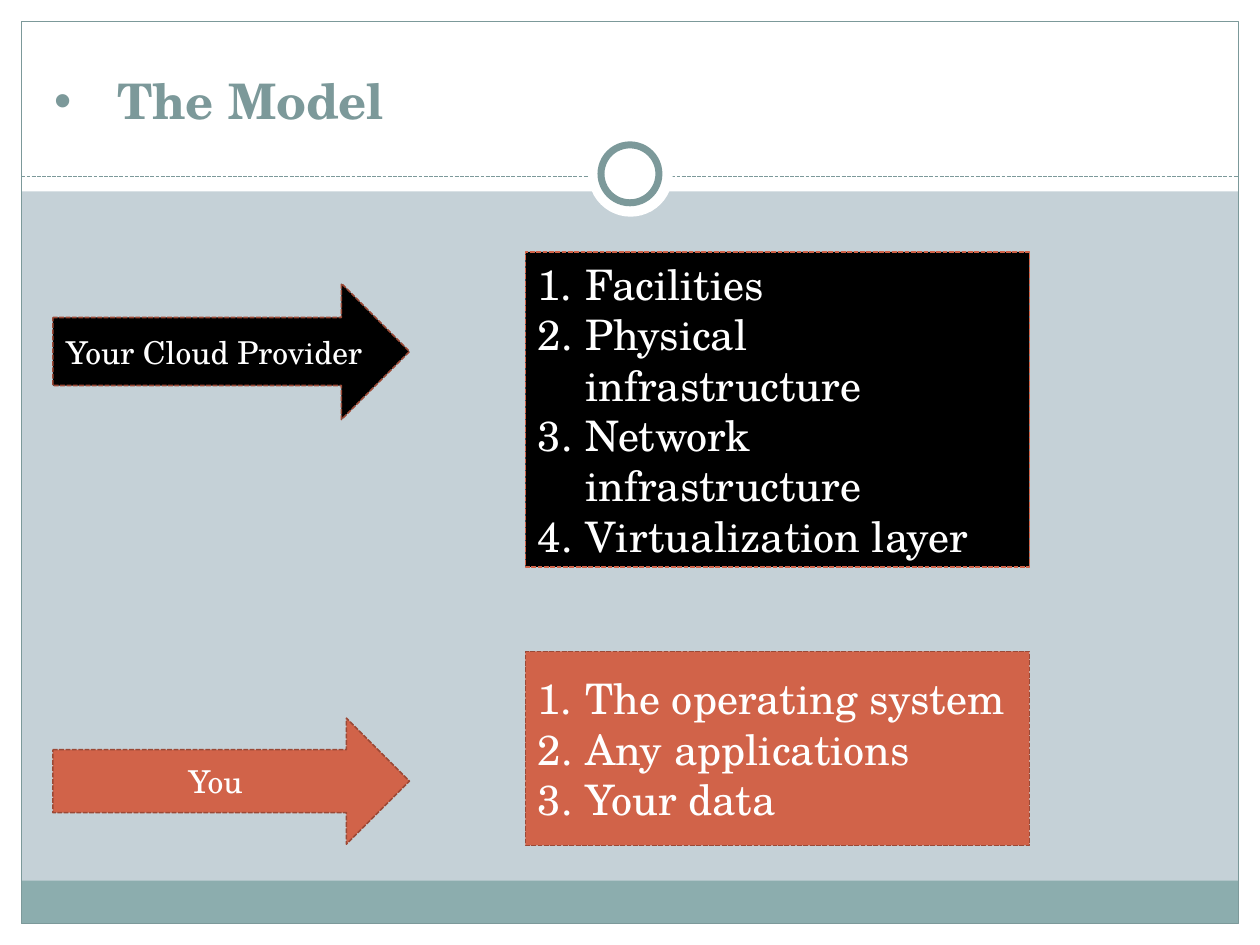
from dataclasses import dataclass
from typing import Optional

from lxml import etree
from pptx import Presentation
from pptx.dml.color import RGBColor
from pptx.enum import dml, shapes, text
from pptx.oxml import ns
from pptx.util import Inches, Pt


@dataclass(frozen=True)
class Theme:
    font: str = "TeX Gyre Schola"
    backdrop: str = "C5D1D7"
    white: str = "FFFFFF"
    black: str = "000000"
    teal: str = "7C999A"
    footer: str = "8CADAE"
    orange: str = "D16349"
    rust: str = "9B4936"
    title_size: float = 28
    list_size: float = 24
    label_size: float = 18
    thin: float = 0.75
    edge: float = 0.9
    ring: float = 4


@dataclass(frozen=True)
class Box:
    left: float
    top: float
    width: float
    height: float

    def lengths(self):
        return [Inches(v) for v in (self.left, self.top, self.width, self.height)]


@dataclass(frozen=True)
class Panel:
    kind: shapes.MSO_SHAPE
    box: Box
    fill: Optional[str]
    line: Optional[str] = None
    weight: float = 0
    dashed: bool = False


@dataclass(frozen=True)
class Role:
    label: str
    arrow: Panel
    duties: tuple
    card: Panel


THEME = Theme()
RECT = shapes.MSO_SHAPE.RECTANGLE
OVAL = shapes.MSO_SHAPE.OVAL
ARROW = shapes.MSO_SHAPE.RIGHT_ARROW
MARGIN = 0.17
WIDTH, HEIGHT = 10, 7.5
INNER = WIDTH - 2 * MARGIN
RULE_TOP = 1.4

BANDS = (
    Panel(RECT, Box(0, HEIGHT - MARGIN, WIDTH, MARGIN), THEME.white),
    Panel(RECT, Box(0, 0, WIDTH, 1.52), THEME.white),
    Panel(RECT, Box(0, 0, MARGIN, HEIGHT), THEME.white),
    Panel(RECT, Box(WIDTH - MARGIN, 0, MARGIN, HEIGHT), THEME.white),
    Panel(RECT, Box(MARGIN, 6.99, INNER, 0.34), THEME.footer),
    Panel(RECT, Box(MARGIN, MARGIN, INNER, HEIGHT - 2 * MARGIN), None, THEME.teal, THEME.thin),
)
RINGS = (
    Panel(OVAL, Box(4.67, 1.05, 0.67, 0.67), THEME.white),
    Panel(OVAL, Box(4.77, 1.15, 0.46, 0.46), THEME.white, THEME.teal, THEME.ring),
)
ROLES = (
    Role(
        "Your Cloud Provider",
        Panel(ARROW, Box(0.42, 2.25, 2.83, 1.08), THEME.black, THEME.rust, THEME.edge, True),
        ("Facilities", "Physical infrastructure", "Network infrastructure", "Virtualization layer"),
        Panel(RECT, Box(4.17, 2, 4, 2.5), THEME.black, THEME.orange, THEME.edge, True),
    ),
    Role(
        "You",
        Panel(ARROW, Box(0.42, 5.7, 2.83, 1), THEME.orange, THEME.rust, THEME.edge, True),
        ("The operating system", "Any applications", "Your data"),
        Panel(RECT, Box(4.17, 5.17, 4, 1.54), THEME.orange, THEME.rust, THEME.edge, True),
    ),
)


def colour(code: str) -> RGBColor:
    return RGBColor.from_string(code)


def style_line(line, code: str, weight: float, dashed: bool) -> None:
    line.color.rgb = colour(code)
    line.width = Pt(weight)
    if dashed:
        line.dash_style = dml.MSO_LINE.SQUARE_DOT


def draw_panel(slide, panel: Panel):
    shape = slide.shapes.add_shape(panel.kind, *panel.box.lengths())
    shape.shadow.inherit = False
    if panel.fill:
        shape.fill.solid()
        shape.fill.fore_color.rgb = colour(panel.fill)
    else:
        shape.fill.background()
    if panel.line:
        style_line(shape.line, panel.line, panel.weight, panel.dashed)
    else:
        shape.line.fill.background()
    return shape


def draw_rule(slide) -> None:
    rule = slide.shapes.add_connector(
        shapes.MSO_CONNECTOR.STRAIGHT,
        Inches(MARGIN), Inches(RULE_TOP), Inches(WIDTH - MARGIN), Inches(RULE_TOP),
    )
    style_line(rule.line, THEME.teal, THEME.thin, True)
    etree.SubElement(rule.element.spPr, ns.qn("a:effectLst"))


def add_bullet(paragraph, indent: float, tag: str, **attributes: str) -> None:
    properties = paragraph._p.get_or_add_pPr()
    properties.set("marL", str(Inches(indent)))
    properties.set("indent", str(-Inches(indent)))
    etree.SubElement(properties, ns.qn("a:buFont"), typeface="Arial" if tag == "a:buChar" else "+mj-lt")
    etree.SubElement(properties, ns.qn(tag), **attributes)


def style_text(paragraph, size: float, code: str, align, bold: bool = False) -> None:
    paragraph.alignment = align
    font = paragraph.font
    font.name = THEME.font
    font.size = Pt(size)
    font.bold = bold
    font.color.rgb = colour(code)


def place_title(slide, wording: str) -> None:
    title = slide.shapes.title
    title.left, title.top, title.width, title.height = Box(0.33, 0.25, 9.33, 0.83).lengths()
    frame = title.text_frame
    frame.text = wording
    frame.auto_size = text.MSO_AUTO_SIZE.NONE
    frame.vertical_anchor = text.MSO_ANCHOR.BOTTOM
    heading = frame.paragraphs[0]
    add_bullet(heading, 0.5, "a:buChar", char="•")
    style_text(heading, THEME.title_size, THEME.teal, text.PP_ALIGN.LEFT, True)
    title.element.getparent().append(title.element)


def draw_label(slide, role: Role) -> None:
    frame = draw_panel(slide, role.arrow).text_frame
    frame.text = role.label
    frame.vertical_anchor = text.MSO_ANCHOR.MIDDLE
    style_text(frame.paragraphs[0], THEME.label_size, THEME.white, text.PP_ALIGN.CENTER)


def draw_duties(slide, role: Role) -> None:
    frame = draw_panel(slide, role.card).text_frame
    frame.text = "\n".join(role.duties)
    frame.vertical_anchor = text.MSO_ANCHOR.MIDDLE
    for duty in frame.paragraphs:
        add_bullet(duty, 0.38, "a:buAutoNum", type="arabicPeriod")
        style_text(duty, THEME.list_size, THEME.white, text.PP_ALIGN.LEFT)


def main() -> None:
    deck = Presentation()
    deck.slide_width, deck.slide_height = Inches(WIDTH), Inches(HEIGHT)
    slide = deck.slides.add_slide(deck.slide_layouts[5])
    slide.background.fill.solid()
    slide.background.fill.fore_color.rgb = colour(THEME.backdrop)
    for band in BANDS:
        draw_panel(slide, band)
    draw_rule(slide)
    for ring in RINGS:
        draw_panel(slide, ring)
    place_title(slide, "The Model")
    for role in ROLES:
        draw_label(slide, role)
    for role in ROLES:
        draw_duties(slide, role)
    deck.save("out.pptx")


if __name__ == "__main__":
    main()
